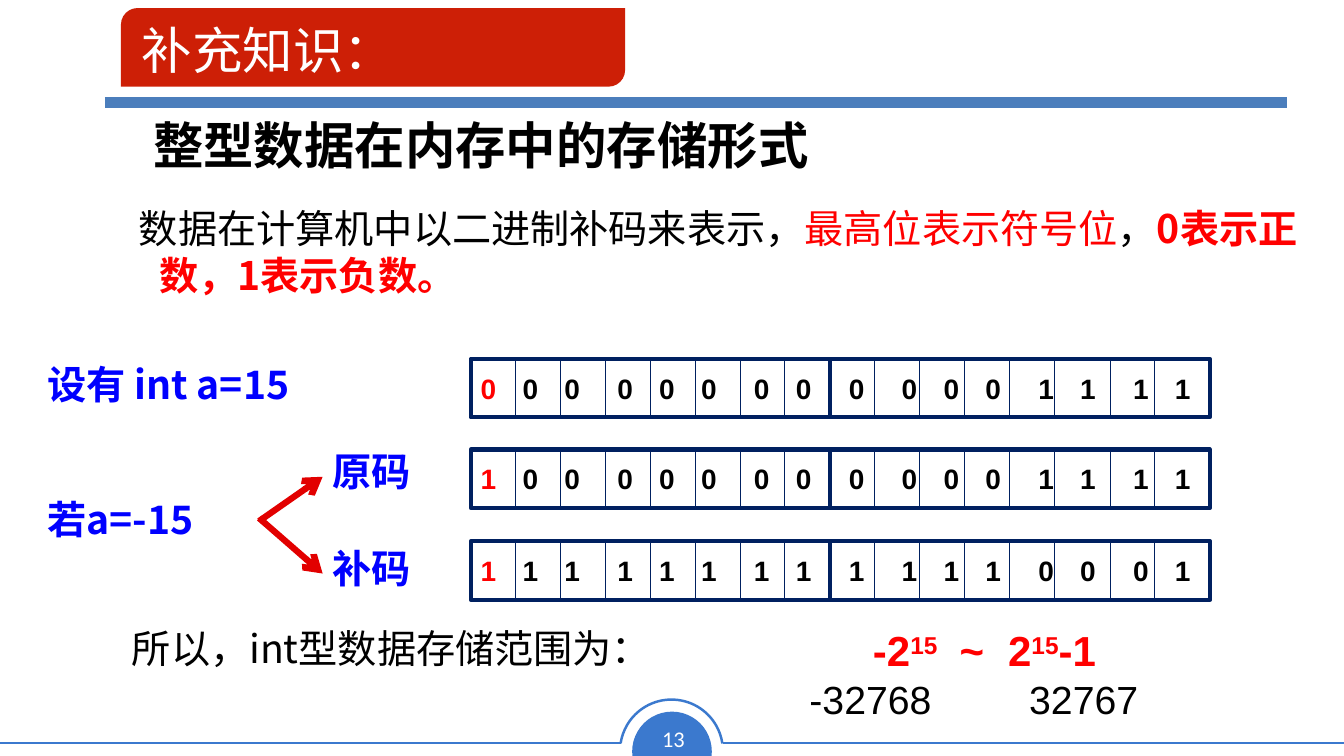
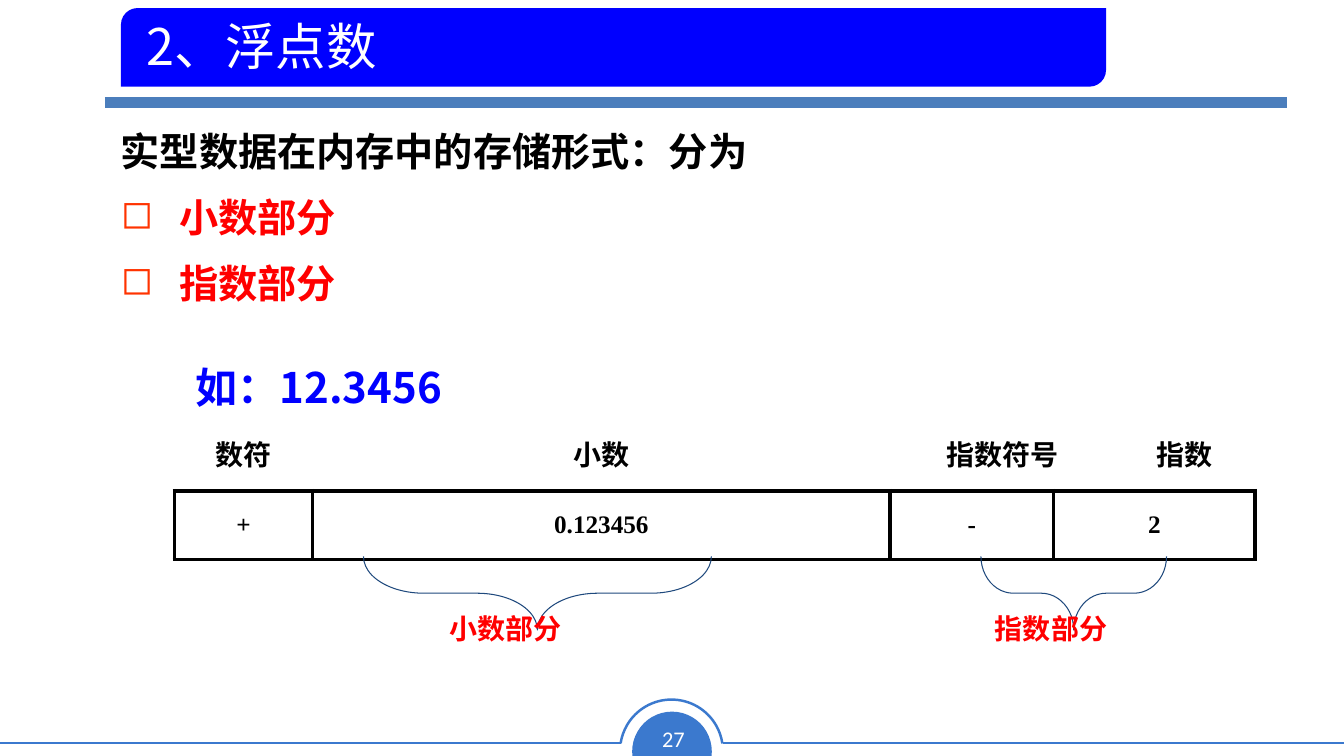
from lxml import etree
from pptx import Presentation
from pptx import util as u
from pptx.dml.color import RGBColor
from pptx.enum import shapes, text
from pptx.oxml import ns

SANS, ARIAL, TIMES = "Noto Sans CJK SC", "Arial", "Times New Roman"
BLACK = RGBColor(0x00, 0x00, 0x00)
WHITE = RGBColor(0xFF, 0xFF, 0xFF)
RED = RGBColor(0xFF, 0x00, 0x00)
BLUE = RGBColor(0x00, 0x00, 0xFF)
BRICK = RGBColor(0xCD, 0x1F, 0x06)
STEEL = RGBColor(0x4B, 0x7E, 0xBC)
FOOT = RGBColor(0x3B, 0x79, 0xCE)
NAVY = RGBColor(0x00, 0x20, 0x60)
ARROW = RGBColor(0xE2, 0x00, 0x00)
BRACE = RGBColor(0x1F, 0x49, 0x7D)
KIND = shapes.MSO_SHAPE

# Bit rows: one box of 16 cells, digits set on tab stops
BIT_X, BIT_W, BIT_H, BIT_STEP = 4.67, 7.33, 0.58, 0.44 + 0.005
NEAR, FAR = 0.415, 0.525
GAPS = [FAR if n in (3, 6, 8, 9, 12, 14) else NEAR for n in range(1, 16)]
STOPS = [sum(GAPS[:n]) for n in range(1, 16)]


def sub(node, tag, **attrs):
    return etree.SubElement(node, ns.qn(tag), attrs)


def add_run(para, words, size, color, bold=False, face=SANS, base=None):
    run = para.add_run()
    run.text = words
    font = run.font
    font.size, font.bold, font.name = u.Pt(size), bold, face
    font.color.rgb = color
    props = run._r.get_or_add_rPr()
    sub(props, "a:ea", typeface=face)
    if base:
        props.set("baseline", str(base * 1000))
    return run


def set_tabs(para, stops):
    tabs = sub(para._p.get_or_add_pPr(), "a:tabLst")
    for stop in stops:
        sub(tabs, "a:tab", pos=str(u.Inches(stop)), algn="l")


def set_hang(para, left, first):
    props = para._p.get_or_add_pPr()
    props.set("marL", str(u.Inches(left)))
    props.set("indent", str(u.Inches(first)))
    return props


def add_text(slide, x, y, w, h, top=0.0):
    box = slide.shapes.add_textbox(*map(u.Inches, (x, y, w, h)))
    frame = box.text_frame
    frame.word_wrap = True
    frame.margin_top = u.Inches(top)
    return frame


def add_label(slide, x, y, w, h, words, size, color, bold=True):
    para = add_text(slide, x, y, w, h).paragraphs[0]
    add_run(para, words, size, color, bold)


def add_line(slide, x1, y1, x2, y2, color, width, arrow=False):
    line = slide.shapes.add_connector(
        shapes.MSO_CONNECTOR.STRAIGHT, *map(u.Inches, (x1, y1, x2, y2)))
    line.line.color.rgb = color
    line.line.width = u.Pt(width)
    if arrow:
        sub(line.line._get_or_add_ln(), "a:tailEnd", type="arrow")
    sub(line._element.spPr, "a:effectLst")


def add_shape(slide, kind, x, y, w, h, fill=None, line=None, width=1.0,
              adj=(), turn=0.0):
    shape = slide.shapes.add_shape(kind, *map(u.Inches, (x, y, w, h)))
    shape.shadow.inherit = False
    shape.rotation = turn
    for n, value in enumerate(adj):
        shape.adjustments[n] = value
    if fill is None:
        shape.fill.background()
    else:
        shape.fill.solid()
        shape.fill.fore_color.rgb = fill
    if line is None:
        shape.line.fill.background()
    else:
        shape.line.color.rgb = line
        shape.line.width = u.Pt(width)
    return shape


def add_base(deck, number):
    """Blank slide with the footer and the header rule."""
    slide = deck.slides.add_slide(deck.slide_layouts[6])
    add_shape(slide, KIND.CHORD, 6.27, 7.06, 0.79, 0.79, fill=FOOT,
              adj=(35.77, 153.29), turn=112.4)
    for x1, x2 in ((0, 6.16), (7.17, 13.33)):
        add_line(slide, x1, 7.37, x2, 7.37, FOOT, 1.77)
    add_shape(slide, KIND.ARC, 6.15, 6.94, 1.02, 1.02, line=FOOT,
              width=1.77, adj=(113.17, 210.98))
    para = add_text(slide, 6.45, 7.14, 0.46, 0.37, 0.05).paragraphs[0]
    para.alignment = text.PP_ALIGN.CENTER
    add_run(para, number, 16, WHITE, face="Calibri")
    add_line(slide, 1.04, 1.02, 12.76, 1.02, STEEL, 8)
    return slide


def add_band(slide, words, width, color, left, top):
    band = add_shape(slide, KIND.ROUND_2_DIAG_RECTANGLE, 1.2, 0.08, width,
                     0.78, fill=color, adj=(0.21, 0))
    frame = band.text_frame
    frame.vertical_anchor = text.MSO_ANCHOR.MIDDLE
    frame.margin_left, frame.margin_top = u.Inches(left), u.Inches(top)
    para = frame.paragraphs[0]
    para.alignment = text.PP_ALIGN.LEFT
    add_run(para, words, 36, WHITE)


def add_bits(slide, y, bits):
    box = add_shape(slide, KIND.RECTANGLE, BIT_X, y, BIT_W, BIT_H,
                    line=NAVY, width=3)
    frame = box.text_frame
    frame.word_wrap = True
    frame.margin_right = 0
    frame.vertical_anchor = text.MSO_ANCHOR.MIDDLE
    para = frame.paragraphs[0]
    para.alignment = text.PP_ALIGN.LEFT
    set_tabs(para, STOPS)
    add_run(para, bits[0], 20, RED, True, ARIAL)
    add_run(para, "\t" + "\t".join(bits[1:]), 20, BLACK, True, ARIAL)
    for n in range(1, 16):
        x = BIT_X + n * BIT_STEP + (0.11 if n > 13 else 0)
        add_line(slide, x, y, x, y + BIT_H, NAVY, 3 if n == 8 else 0.75)


def set_edges(cell, sides):
    props = cell._tc.get_or_add_tcPr()
    for side in "LRTB":
        edge = sub(props, "a:ln" + side, w=str(u.Pt(3)))
        if side in sides:
            fill = sub(edge, "a:solidFill")
            sub(fill, "a:srgbClr", val=str(BLACK))
        else:
            sub(edge, "a:noFill")


def add_grid(slide, x, y, cols, rows, cells, spans):
    frame = slide.shapes.add_table(
        len(rows), len(cols),
        *map(u.Inches, (x, y, sum(cols), sum(rows))))
    table = frame.table
    table.first_row = table.horz_banding = False
    for n, width in enumerate(cols):
        table.columns[n].width = u.Inches(width)
    for r, height in enumerate(rows):
        table.rows[r].height = u.Inches(height)
        size, face, sides = (18, TIMES, "LRTB") if r else (20, SANS, "B")
        for c, words in enumerate(cells[r]):
            cell = table.cell(r, c)
            set_edges(cell, sides)
            cell.fill.background()
            cell.vertical_anchor = text.MSO_ANCHOR.MIDDLE
            cell.margin_left = cell.margin_right = u.Inches(0.13)
            if words:
                para = cell.text_frame.paragraphs[0]
                para.alignment = text.PP_ALIGN.CENTER
                add_run(para, words, size, BLACK, True, face)
    for r, c in spans:
        table.cell(r, c).merge(table.cell(r, c + 1))


def add_brace(slide, mid, width, curve):
    tall, top = 0.73, 5.52
    add_shape(slide, KIND.LEFT_BRACE, mid - tall / 2,
              top + (tall - width) / 2, tall, width, line=BRACE,
              width=0.75, adj=(curve, 0.5), turn=270)


def build_ints(deck):
    slide = add_base(deck, "13")
    add_band(slide, "补充知识：", 5, BRICK, 0.16, 0.09)
    add_label(slide, 1.42, 1.13, 11.16, 0.8, "整型数据在内存中的存储形式",
              36, BLACK)

    # Rule for the sign bit
    para = add_text(slide, 1.1, 2.03, 11.91, 1.17).paragraphs[0]
    set_hang(para, 0.38, -0.2)
    for words, color, bold in (
            ("数据在计算机中以二进制补码来表示，", BLACK, False),
            ("最高位表示符号位", RED, False),
            ("，", BLACK, False),
            ("0表示正数，1表示负数。", RED, True)):
        add_run(para, words, 28, color, bold)

    # Examples
    for x, y, width, words in ((0.37, 3.57, 3.67, "设有 int a=15"),
                               (0.37, 4.91, 2.2, "若a=-15"),
                               (3.2, 4.44, 1.36, "原码"),
                               (3.2, 5.4, 1.36, "补码")):
        add_label(slide, x, y, width, 0.57, words, 28, BLUE)
    for y, bits in ((3.56, "0000000000001111"),
                    (4.46, "1000000000001111"),
                    (5.37, "1111111111110001")):
        add_bits(slide, y, bits)
    for y1, y2 in ((5.17, 4.73), (5.14, 5.69)):
        add_line(slide, 2.57, y1, 3.2, y2, ARROW, 4.5, arrow=True)

    # Value range
    add_label(slide, 1.21, 6.19, 6.5, 0.57, "所以，int型数据存储范围为：",
              28, BLACK, False)
    para = add_text(slide, 8.56, 6.15, 4.22, 0.6, 0.05).paragraphs[0]
    set_tabs(para, (0.86, 1.34))
    for words, base in (("-2", None), ("15", 30), ("\t~\t2", None),
                        ("15", 30), ("-1", None)):
        add_run(para, words, 30, RED, True, ARIAL, base)
    para = add_text(slide, 7.93, 6.65, 5.3, 0.57, 0.05).paragraphs[0]
    set_tabs(para, (2.18,))
    add_run(para, "-32768\t32767", 28, BLACK, face=ARIAL)


def build_reals(deck):
    slide = add_base(deck, "27")
    add_band(slide, "2、浮点数", 9.77, BLUE, 0.21, 0.01)

    # Two parts of a real number
    frame = add_text(slide, 1.1, 1.07, 12.23, 2.5, 0.08)
    for n, words in enumerate(("实型数据在内存中的存储形式：分为",
                               "小数部分", "指数部分")):
        para = frame.add_paragraph() if n else frame.paragraphs[0]
        props = set_hang(para, 0.58, -0.58)
        if n:
            sub(sub(props, "a:buClr"), "a:srgbClr", val="FF3300")
            sub(props, "a:buChar", char="◻")
            para.space_before = u.Pt(5.6)
        para.line_spacing = 1.24
        add_run(para, words, 28, RED if n else BLACK, True)
    add_label(slide, 1.84, 3.59, 7.98, 0.6, "如：12.3456", 30, BLUE)

    # Storage layout
    add_grid(slide, 1.73, 4.13, (1.37, 5.73, 1.62, 0.6, 1.4), (0.74, 0.68),
             (("数符", "小数", "指数符号", "", "指数"),
              ("+", "0.123456", "-", "2", "")),
             ((0, 2), (1, 3)))
    for mid, width, curve, x, words in (
            (5.33, 3.45, 0.82, 4.36, "小数部分"),
            (10.65, 1.84, 0.44, 9.77, "指数部分")):
        add_brace(slide, mid, width, curve)
        add_label(slide, x, 6.07, 2.27, 0.44, words, 20, RED)


def main():
    deck = Presentation()
    deck.slide_width, deck.slide_height = u.Inches(13.33), u.Inches(7.5)
    build_ints(deck)
    build_reals(deck)
    deck.save("out.pptx")


if __name__ == "__main__":
    main()
